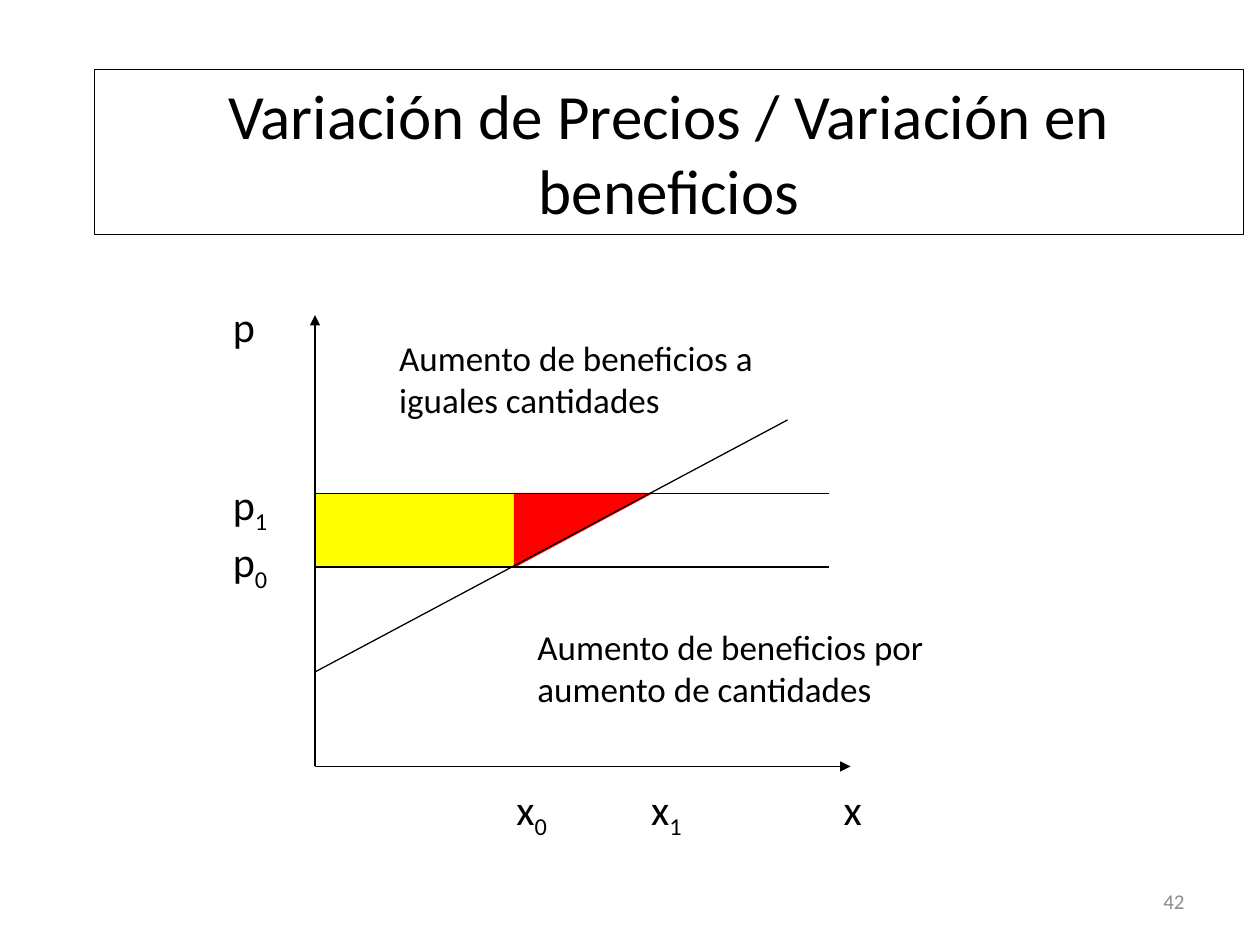
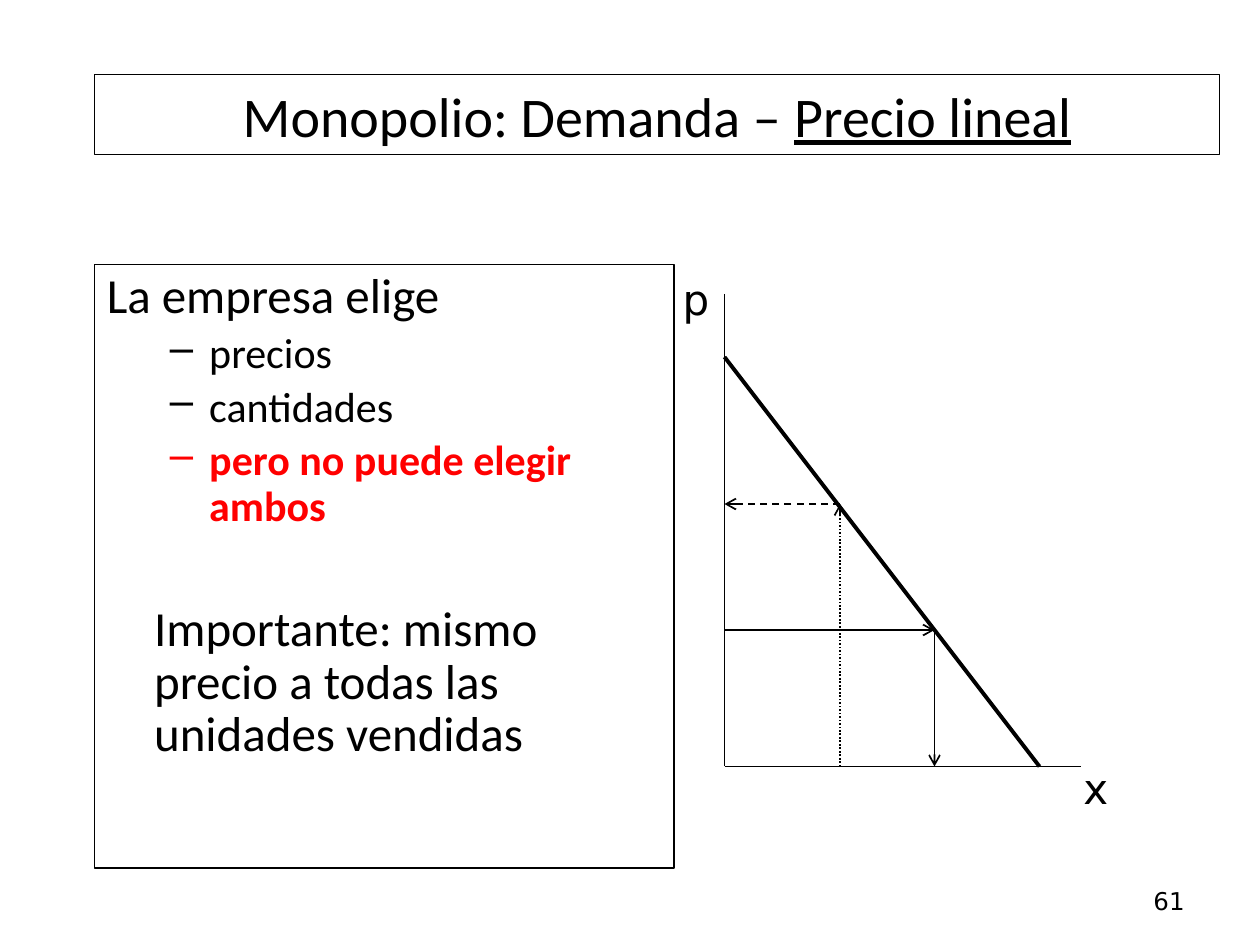
from pptx import Presentation
from pptx.dml.color import RGBColor
from pptx.enum.dml import MSO_LINE_DASH_STYLE as DASH
from pptx.enum.shapes import MSO_CONNECTOR, MSO_SHAPE
from pptx.enum.text import MSO_ANCHOR as ANCHOR, PP_ALIGN as ALIGN
from pptx.oxml.ns import qn
from pptx.util import Pt
from lxml.etree import SubElement

BLACK = RGBColor(0x00, 0x00, 0x00)
GRAY = RGBColor(0x8C, 0x8C, 0x8C)
RED = RGBColor(0xFF, 0x00, 0x00)
YELLOW = RGBColor(0xFF, 0xFF, 0x00)
BODY_FONT, LABEL_FONT = "Calibri", "DejaVu Sans"

TITLE = {"align": ALIGN.CENTER, "anchor": ANCHOR.MIDDLE, "border": True}
PAGE_NUMBER = {"align": ALIGN.RIGHT, "anchor": ANCHOR.MIDDLE}
PAGE_NUMBER_BOX = (516, 500.4, 168, 28.8)
SUBSCRIPT = {"baseline": -25000}


def add_text(slide, box, paragraphs, size, name=BODY_FONT, color=BLACK,
             align=ALIGN.LEFT, anchor=ANCHOR.TOP, border=False):
    """Each paragraph is (format, runs); each run is (text, font values)."""
    shape = slide.shapes.add_textbox(*map(Pt, box))
    if border:
        shape.line.color.rgb = BLACK
        shape.line.width = Pt(0.75)
    frame = shape.text_frame
    frame.word_wrap = True
    frame.vertical_anchor = anchor
    for index, (layout, runs) in enumerate(paragraphs):
        paragraph = frame.paragraphs[0] if index == 0 else frame.add_paragraph()
        paragraph.alignment = align
        properties = paragraph._p.get_or_add_pPr()
        for key, value in layout.items():
            if key == "bullet":
                SubElement(properties, qn("a:buChar")).set("char", value)
            elif key == "tabs":
                tab_list = SubElement(properties, qn("a:tabLst"))
                for position in value:
                    tab = SubElement(tab_list, qn("a:tab"))
                    tab.set("pos", str(Pt(position)))
                    tab.set("algn", "l")
            elif key in ("marL", "indent"):
                properties.set(key, str(Pt(value)))
            else:
                setattr(paragraph, key, value)
        for text, values in runs:
            run = paragraph.add_run()
            run.text = text
            font_values = {"size": Pt(size), "name": name, "color": color, **values}
            for key, value in font_values.items():
                if key == "color":
                    run.font.color.rgb = value
                elif key == "baseline":
                    run._r.get_or_add_rPr().set("baseline", str(value))
                else:
                    setattr(run.font, key, value)


def add_line(slide, points, width, arrow=None, dash=None):
    line = slide.shapes.add_connector(MSO_CONNECTOR.STRAIGHT, *map(Pt, points))
    line.line.color.rgb = BLACK
    line.line.width = Pt(width)
    if dash:
        line.line.dash_style = dash
    if arrow:
        SubElement(line.line._get_or_add_ln(), qn("a:tailEnd")).set("type", arrow)
    SubElement(line._element.spPr, qn("a:effectLst"))


presentation = Presentation()
presentation.slide_width, presentation.slide_height = Pt(720), Pt(540)
blank = presentation.slide_layouts[6]

# Slide 1: price change and benefit change
slide = presentation.slides.add_slide(blank)
add_text(slide, PAGE_NUMBER_BOX, [({}, [("42", {})])], 12, color=GRAY, **PAGE_NUMBER)
add_text(slide, (54, 39.6, 656.64, 94.32),
         [({}, [("Variación de Precios / Variación en beneficios", {})])], 36, **TITLE)

# Benefit areas between both prices
axis_x, axis_y = 180, 438
x0, x1 = 294, 372
p0, p1 = 324, 282
equal_quantity = slide.shapes.add_shape(
    MSO_SHAPE.RECTANGLE, Pt(axis_x), Pt(p1), Pt(x0 - axis_x), Pt(p0 - p1))
builder = slide.shapes.build_freeform(Pt(x0), Pt(p1))
builder.add_line_segments([(Pt(x1), Pt(p1)), (Pt(x0), Pt(p0))], close=True)
extra_quantity = builder.convert_to_shape()
for area, color in ((equal_quantity, YELLOW), (extra_quantity, RED)):
    area.shadow.inherit = False
    area.fill.solid()
    area.fill.fore_color.rgb = color
    area.line.color.rgb = color
    area.line.width = Pt(0.75)

for box, text in (
    ((221, 188.6, 253.44, 55.44), "Aumento de beneficios a iguales cantidades"),
    ((300, 354, 300, 55.44), "Aumento de beneficios por aumento de cantidades"),
):
    add_text(slide, box, [({}, [(text, {})])], 20)

# Axes, supply line and price lines
for points, arrow in (
    ((axis_x, axis_y, axis_x, 180), "triangle"),
    ((axis_x, axis_y, 486, axis_y), "triangle"),
    ((axis_x, 384, 450, 240), None),
    ((axis_x, p0, 474, p0), None),
    ((axis_x, p1, 474, p1), None),
):
    add_line(slide, points, 0.75, arrow)

# Axis labels
add_text(slide, (126, 168, 42, 167), [
    ({}, [("p", {})]),
    ({"space_before": Pt(73)}, [("p", {}), ("1", SUBSCRIPT)]),
    ({}, [("p", {}), ("0", SUBSCRIPT)]),
], 24)
add_text(slide, (288, 444, 252, 36), [
    ({"tabs": (77, 187)},
     [("x", {}), ("0", SUBSCRIPT), ("\tx", {}), ("1", SUBSCRIPT), ("\tx", {})]),
], 24)

# Slide 2: monopoly with a linear price
slide = presentation.slides.add_slide(blank)
add_text(slide, PAGE_NUMBER_BOX, [({}, [("61", {})])], 14, LABEL_FONT, **PAGE_NUMBER)
add_text(slide, (54, 42.5, 643, 46), [
    ({}, [("Monopolio: Demanda – ", {}), ("Precio lineal", {"underline": True})]),
], 32, **TITLE)

# What the firm can choose
choice = {"line_spacing": 0.9, "space_before": Pt(4.8), "level": 1,
          "marL": 58.5, "indent": -22.5, "bullet": "–"}
choice_font = {"size": Pt(24)}
add_text(slide, (54, 151.2, 331.2, 344.9), [
    ({"line_spacing": 0.9}, [("La empresa elige", {})]),
    (choice, [("precios", choice_font)]),
    (choice, [("cantidades", choice_font)]),
    (choice, [("pero no puede elegir ambos", {**choice_font, "color": RED, "bold": True})]),
    ({"line_spacing": 0.9, "space_before": Pt(42), "marL": 27},
     [("Importante: mismo precio a todas las unidades vendidas", {})]),
], 28, border=True)

# Axes, demand line and the two ways to choose
axis_x, axis_y = 414, 438
for points, width, arrow, dash in (
    ((axis_x, 168, axis_x, axis_y), 1, None, None),
    ((axis_x, axis_y, 618, axis_y), 1, None, None),
    ((axis_x, 204, 594, axis_y), 2.25, None, None),
    ((axis_x, 360, 534, 360), 1, "arrow", None),
    ((534, 360, 534, axis_y), 1, "arrow", None),
    ((480, 288, axis_x, 288), 1, "arrow", DASH.DASH),
    ((480, axis_y, 480, 288), 1, "arrow", DASH.ROUND_DOT),
):
    add_line(slide, points, width, arrow, dash)

for box, text in (((383, 152.6, 36, 36), "p"), ((612, 432, 36, 36), "x")):
    add_text(slide, box, [({}, [(text, {})])], 24, LABEL_FONT)

presentation.save("out.pptx")
